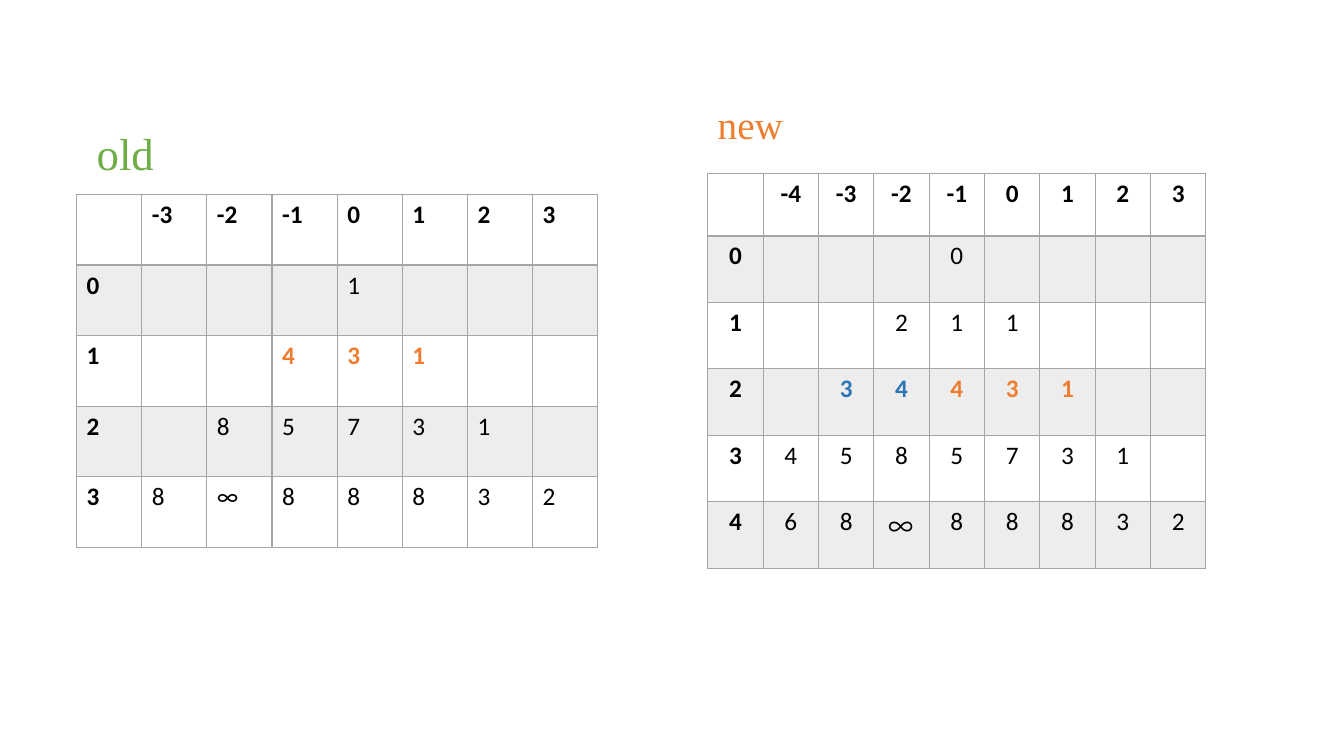
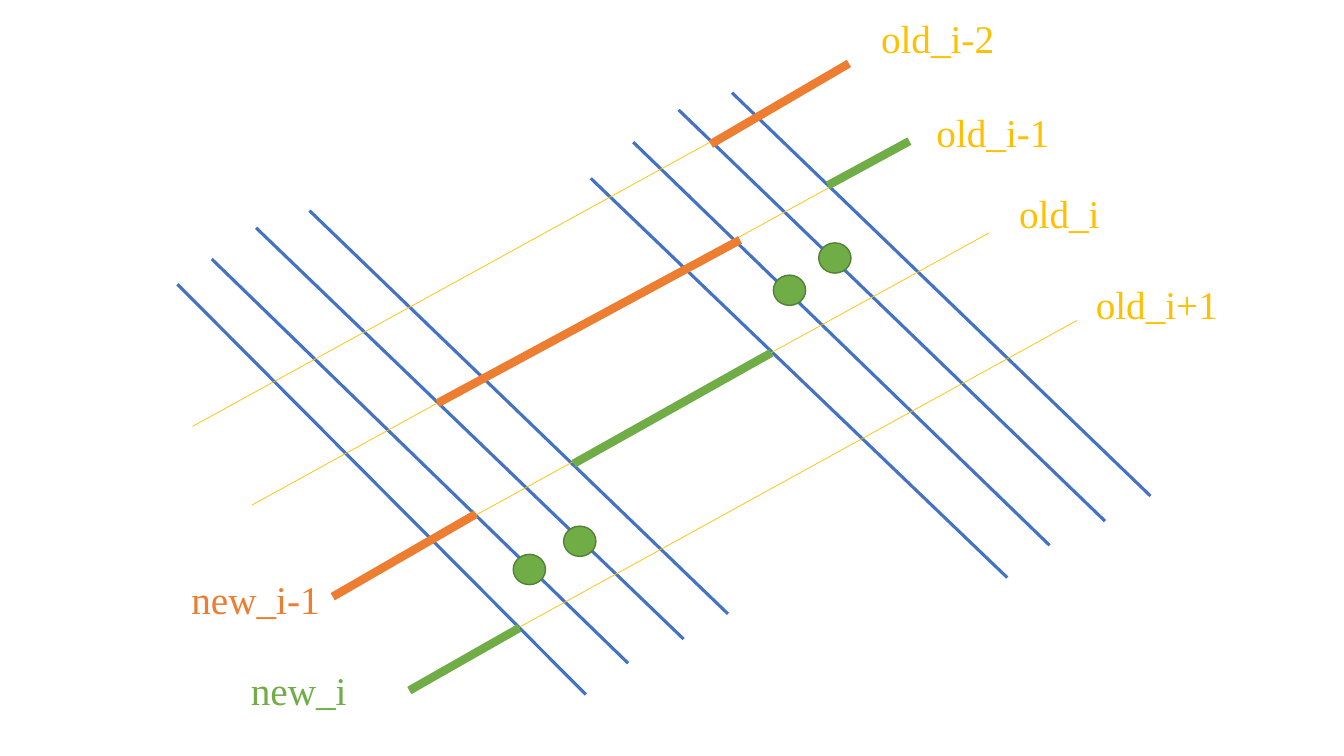
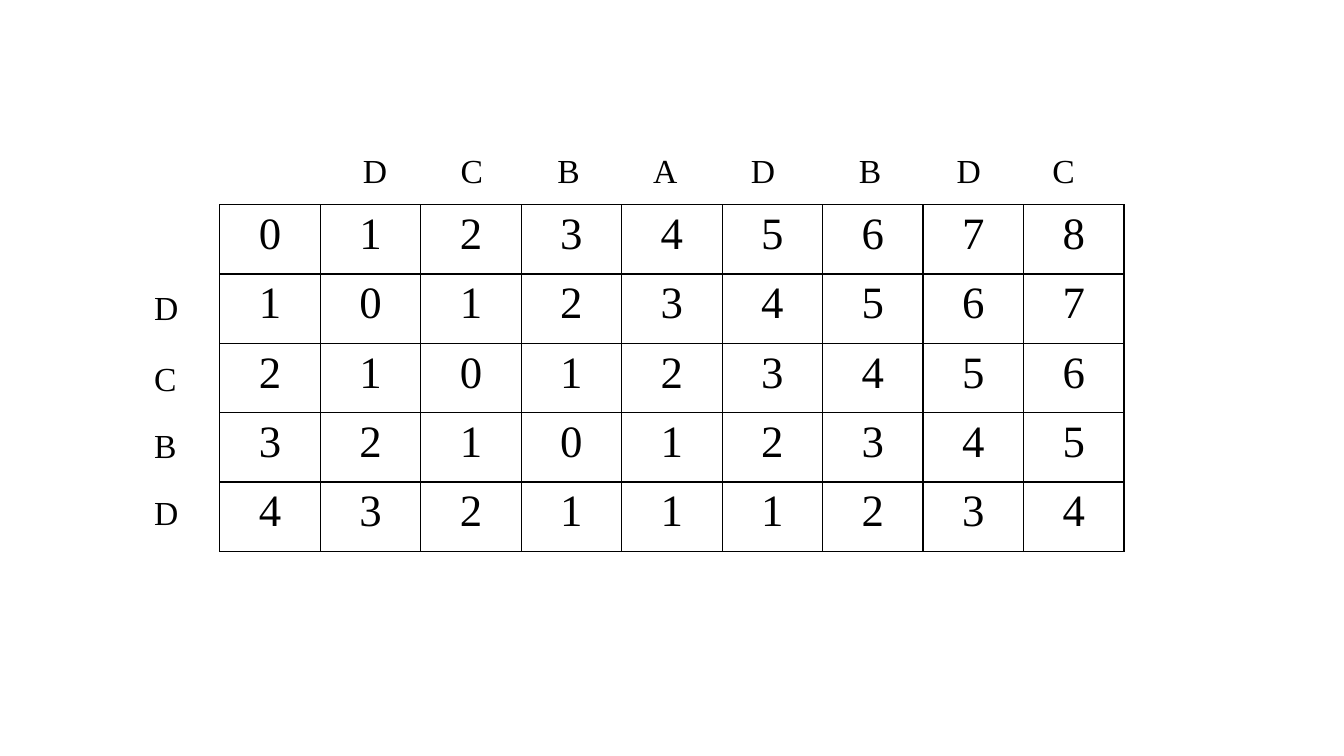
from lxml import etree
from pptx import Presentation
from pptx.dml.color import RGBColor
from pptx.enum import shapes, text
from pptx.oxml.ns import qn
from pptx.util import Inches, Pt

SERIF, SANS, SYMBOL = "Times New Roman", "Calibri", "Noto Sans CJK SC"
BLACK, GRAY, ORANGE, GREEN = "000000", "A5A5A5", "ED7D31", "70AD47"
BLUE, DARK_BLUE, YELLOW, DARK_GREEN = "4472C4", "2E75B6", "FFC000", "538035"


def color(value):
    return RGBColor.from_string(value)


def style(paragraph, size, name, value, bold=False):
    font = paragraph.font
    font.size, font.name, font.bold = Pt(size), name, bold
    font.color.rgb = color(value)


def add_label(slide, wording, left, top, width, height, size, value):
    box = slide.shapes.add_textbox(*map(Inches, (left, top, width, height)))
    frame = box.text_frame
    frame.word_wrap = False
    frame.auto_size = text.MSO_AUTO_SIZE.SHAPE_TO_FIT_TEXT
    frame.text = wording
    style(frame.paragraphs[0], size, SERIF, value)


def add_line(slide, start, end, value, width):
    line = slide.shapes.add_connector(
        shapes.MSO_CONNECTOR.STRAIGHT, *map(Inches, (*start, *end)))
    line.line.color.rgb = color(value)
    line.line.width = Pt(width)
    etree.SubElement(line._element.spPr, qn("a:effectLst"))


def set_borders(cell, value, bottom):
    properties = cell._tc.get_or_add_tcPr()
    for side, width in (("L", 1), ("R", 1), ("T", 1), ("B", bottom)):
        border = etree.SubElement(properties, qn(f"a:ln{side}"), w=str(Pt(width)))
        fill = etree.SubElement(border, qn("a:solidFill"))
        etree.SubElement(fill, qn("a:srgbClr"), val=value)


def shade(cell):
    cell.fill.solid()
    cell.fill.fore_color.rgb = color(GRAY)
    tint = cell._tc.tcPr.find(f"{qn('a:solidFill')}/{qn('a:srgbClr')}")
    etree.SubElement(tint, qn("a:alpha"), val="20000")


def add_grid(slide, box, lines):
    """Add a table from lines of words; a dot stands for an empty cell.

    Yields each cell with its row, column and word.
    """
    rows = [line.split() for line in lines]
    left, top, width, height = map(Inches, box)
    table = slide.shapes.add_table(
        len(rows), len(rows[0]), left, top, width, height).table
    table.first_row = table.horz_banding = False
    for column in table.columns:
        column.width = width // len(rows[0])
    for row in table.rows:
        row.height = height // len(rows)
    for row, words in enumerate(rows):
        for column, word in enumerate(words):
            cell = table.cell(row, column)
            cell.text = "" if word == "." else word
            yield table, cell, row, column, word


def add_state_table(slide, box, lines, highlights, align, symbol_font,
                    header_height):
    """Banded table with bold headings and highlighted values."""
    for table, cell, row, column, word in add_grid(slide, box, lines):
        set_borders(cell, GRAY, 1 if row else 2)
        if row % 2:
            shade(cell)
        else:
            cell.fill.background()
        highlight = highlights.get((row, column))
        paragraph = cell.text_frame.paragraphs[0]
        paragraph.alignment = align
        name = symbol_font if word == "∞" else SANS
        style(paragraph, 18, name, highlight or BLACK,
              row == 0 or column == 0 or highlight is not None)
        if word == "∞":
            properties = paragraph.runs[0]._r.get_or_add_rPr()
            for script in ("latin", "ea"):
                etree.SubElement(properties, qn(f"a:{script}"), typeface=name)
    body_height = (box[3] - header_height) / (len(lines) - 1)
    for row, line in enumerate(table.rows):
        line.height = Inches(body_height if row else header_height)


def build_states(slide):
    # Old state
    add_state_table(
        slide, (0.76, 1.93, 5.17, 3.5),
        [". -3 -2 -1 0 1 2 3",
         "0 . . . 1 . . .",
         "1 . . 4 3 1 . .",
         "2 . 8 5 7 3 1 .",
         "3 8 ∞ 8 8 8 3 2"],
        {(2, column): ORANGE for column in (3, 4, 5)},
        text.PP_ALIGN.LEFT, SANS, 0.7)
    # New state
    add_state_table(
        slide, (7.02, 1.72, 4.94, 3.92),
        [". -4 -3 -2 -1 0 1 2 3",
         "0 . . . 0 . . . .",
         "1 . . 2 1 1 . . .",
         "2 . 3 4 4 3 1 . .",
         "3 4 5 8 5 7 3 1 .",
         "4 6 8 ∞ 8 8 8 3 2"],
        {(3, column): DARK_BLUE if column < 4 else ORANGE
         for column in range(2, 7)},
        text.PP_ALIGN.CENTER, SYMBOL, 0.62)
    # Captions
    add_label(slide, "new", 7.02, 0.95, 0.86, 0.57, 28, ORANGE)
    add_label(slide, "old", 0.86, 1.2, 0.78, 0.64, 32, GREEN)


DIAGONALS = [
    # Blue diagonals, left group then right group
    (BLUE, 2.25, [
        (0.76, 2.82, 4.81, 6.89), (1.1, 2.57, 5.23, 6.58),
        (1.54, 2.26, 5.78, 6.34), (2.07, 2.09, 6.22, 6.09),
        (4.86, 1.77, 8.99, 5.73), (5.28, 1.41, 9.41, 5.41),
        (5.73, 1.09, 9.96, 5.17), (6.26, 0.92, 10.41, 4.92)]),
    # Old frontiers
    (YELLOW, 0.5, [
        (0.91, 4.23, 7.39, 0.67), (1.5, 5.01, 7.97, 1.45),
        (2.34, 5.87, 8.81, 2.31), (3.21, 6.74, 9.68, 3.18)]),
    # New frontiers
    (ORANGE, 6, [
        (2.3, 5.92, 3.72, 5.1), (3.34, 4, 6.34, 2.38),
        (6.05, 1.43, 7.42, 0.63)]),
    (GREEN, 6, [
        (3.06, 6.85, 4.15, 6.23), (4.69, 4.6, 6.65, 3.5),
        (7.21, 1.84, 8.02, 1.4)]),
]
FRONTIER_LABELS = [
    ("new_i-1", 0.8, 5.66, 1.49, ORANGE), ("new_i", 1.39, 6.56, 1.16, GREEN),
    ("old_i-2", 7.64, 0.09, 1.34, YELLOW), ("old_i-1", 8.19, 1.03, 1.34, YELLOW),
    ("old_i", 9.01, 1.83, 1.01, YELLOW), ("old_i+1", 9.77, 2.73, 1.43, YELLOW),
]
DOTS = [(4.09, 5.5), (4.59, 5.22), (6.67, 2.73), (7.12, 2.41)]


def build_frontiers(slide, left, top):
    for value, width, lines in DIAGONALS:
        for x1, y1, x2, y2 in lines:
            add_line(slide, (left + x1, top + y1), (left + x2, top + y2),
                     value, width)
    for wording, x, y, width, value in FRONTIER_LABELS:
        add_label(slide, wording, left + x, top + y, width, 0.57, 28, value)
    for x, y in DOTS:
        dot = slide.shapes.add_shape(
            shapes.MSO_SHAPE.OVAL,
            *map(Inches, (left + x, top + y, 0.32, 0.3)))
        dot.shadow.inherit = False
        dot.fill.solid()
        dot.fill.fore_color.rgb = color(GREEN)
        dot.line.color.rgb = color(DARK_GREEN)
        dot.line.width = Pt(1)


def build_distances(slide, left, top):
    # Distance table
    lines = ["0 1 2 3 4 5 6 7 8",
             "1 0 1 2 3 4 5 6 7",
             "2 1 0 1 2 3 4 5 6",
             "3 2 1 0 1 2 3 4 5",
             "4 3 2 1 1 1 2 3 4"]
    for _, cell, _, _, _ in add_grid(slide, (left, top, 8.97, 3.44), lines):
        set_borders(cell, BLACK, 1)
        cell.fill.background()
        paragraph = cell.text_frame.paragraphs[0]
        paragraph.alignment = text.PP_ALIGN.CENTER
        style(paragraph, 32, SERIF, BLACK)
    # Letters beside the rows and above the columns
    row_letters = zip("DCBD", [-0.75] * 4, (0.77, 1.47, 2.14, 2.8))
    column_letters = zip(
        "DCBADBDC", (1.32, 2.29, 3.25, 4.2, 5.17, 6.24, 7.21, 8.16), [-0.59] * 8)
    for letter, x, y in (*row_letters, *column_letters):
        width = 0.45 if letter in "AD" else 0.43
        add_label(slide, letter, left + x, top + y, width, 0.5, 24, BLACK)


def main():
    presentation = Presentation()
    presentation.slide_width = Inches(13.33)
    presentation.slide_height = Inches(7.5)
    blank = presentation.slide_layouts[6]
    build_states(presentation.slides.add_slide(blank))
    build_frontiers(presentation.slides.add_slide(blank), 1, 0)
    build_distances(presentation.slides.add_slide(blank), 2.18, 2.03)
    presentation.save("out.pptx")


if __name__ == "__main__":
    main()
